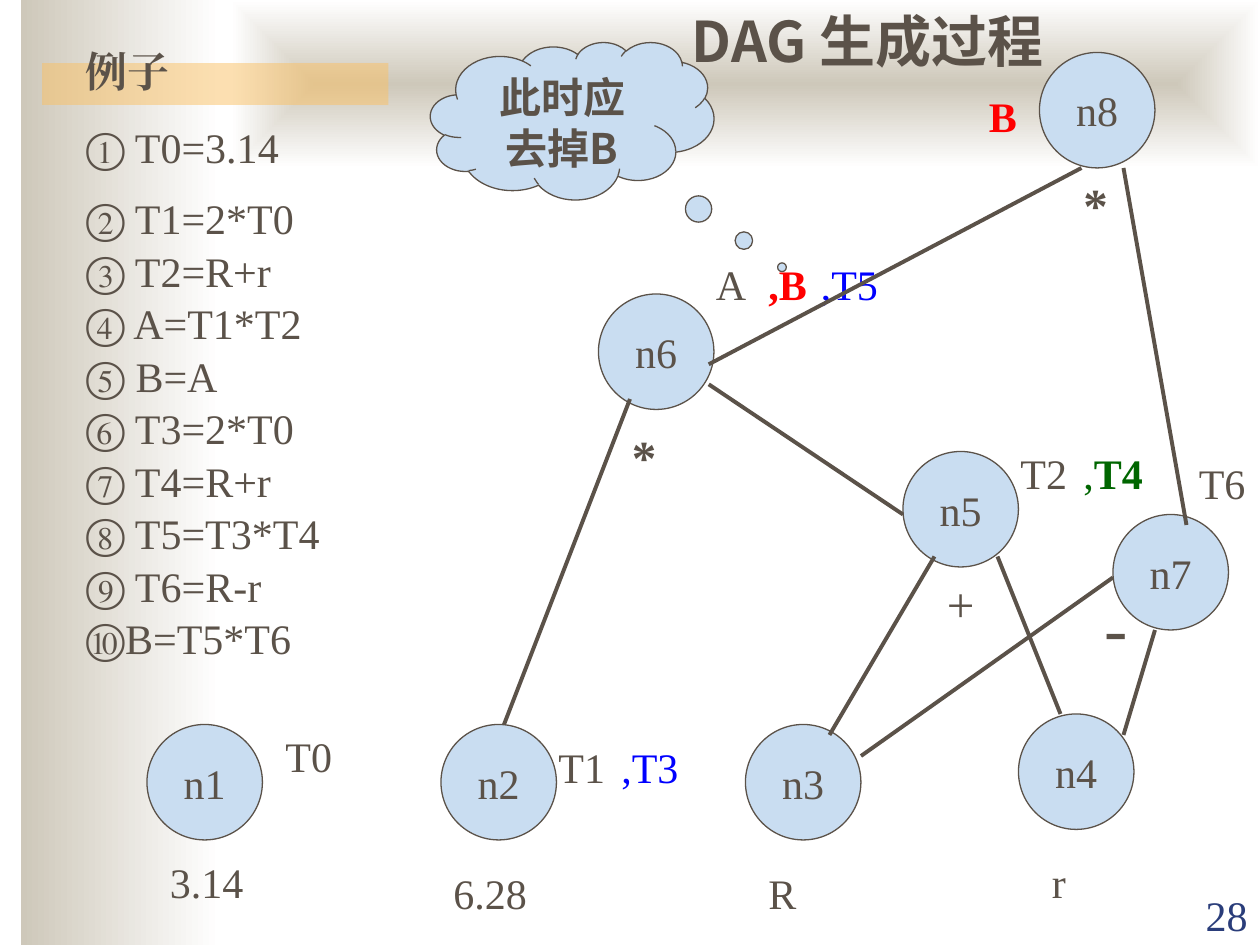
import pptx
import pptx.util
import pptx.dml.color
import pptx.enum.shapes
import pptx.enum.text
import pptx.oxml
import pptx.oxml.ns

# Content; places are in grid cells, twelve to the inch
CELL = 1 / 12
SERIF, SANS = "Times New Roman", "Noto Sans CJK JP"
INK, SKY, SAND, WHITE = "5B5249", "C9DDF1", "CEC8BA", "FFFFFF"
RED, BLUE, GREEN, NAVY, ORANGE = "FF0000", "0000FF", "006600", "2A3D7A", "FAC164"

TITLE = "DAG 生成过程"
HEADING = "例子"
CALLOUT = "此时应去掉B"
PAGE_NUMBER = "28"

# Instruction and the width of its box
FIRST_INSTRUCTION = "① T0=3.14"
INSTRUCTIONS = [
    ("② T1=2*T0", 23), ("③ T2=R+r", 23), ("④ A=T1*T2", 25),
    ("⑤ B=A", 23), ("⑥ T3=2*T0", 23), ("⑦ T4=R+r", 34),
    ("⑧ T5=T3*T4", 25), ("⑨ T6=R-r", 22), ("⑩B=T5*T6", 22),
]

NODE_SIZE = 11
NODES = {
    "n1": (14, 69), "n2": (42, 69), "n3": (71, 69), "n4": (97, 68),
    "n5": (86, 43), "n6": (57, 28), "n7": (106, 49), "n8": (99, 5),
}

EDGES = [
    ((89, 53), (79, 70)), ((95, 53), (101, 68)),        # n5 to n3, n4
    ((60, 38), (48, 69)), ((67.5, 36.6), (86, 49)),     # n6 to n2, n5
    ((106, 55), (82, 72)), ((110, 60), (107, 70)),      # n7 to n3, n4
    ((103, 16), (67.5, 34.7)), ((107, 16), (113, 50)),  # n8 to n6, n7
]

# Left, top, width, then runs of (text, size, colour, bold)
LABELS = [
    (15, 81, 10, [("3.14", 24, INK, False)]),
    (26, 69, 10, [("T0", 24, INK, False)]),
    (42, 82, 11, [("6.28", 24, INK, False)]),
    (52, 70, 9, [("T1", 24, INK, False)]),
    (58, 70, 11, [(",T3", 24, BLUE, False)]),
    (72, 82, 11, [("R", 24, INK, False)]),
    (99, 81, 10, [("r", 24, INK, False)]),
    (89, 54, 8, [("+", 28, INK, False)]),
    (96, 42, 8, [("T2", 24, INK, False)]),
    (102, 42, 10, [(",", 24, GREEN, False), ("T4", 24, GREEN, True)]),
    (59, 40, 10, [("*", 28, INK, True)]),
    (67, 24, 7, [("A", 24, INK, False)]),
    (72, 24, 10, [(",B", 24, RED, True)]),
    (77, 24, 11, [(",T5", 24, BLUE, False)]),
    (104, 55, 6, [("-", 40, INK, False)]),
    (113, 43, 7, [("T6", 24, INK, False)]),
    (102, 16, 5, [("*", 28, INK, True)]),
    (93, 8, 9, [("B", 24, RED, True)]),
]

SHAPE = pptx.enum.shapes.MSO_SHAPE
ALIGN = pptx.enum.text.PP_ALIGN
ANCHOR = pptx.enum.text.MSO_ANCHOR


def cells(*counts):
    return [pptx.util.Inches(count * CELL) for count in counts]


def colour(code):
    return pptx.dml.color.RGBColor.from_string(code)


def element(tag, **attributes):
    node = pptx.oxml.parse_xml(f"<{tag} {pptx.oxml.ns.nsdecls('a')}/>")
    for key, value in attributes.items():
        node.set(key, str(value))
    return node


def add_run(para, text, size=24, code=INK, bold=False, face=SERIF):
    span = para.add_run()
    span.text = text
    span.font.size = pptx.util.Pt(size)
    span.font.bold = bold
    span.font.color.rgb = colour(code)
    span.font.name = face
    span.font._element.find(pptx.oxml.ns.qn("a:latin")).addnext(
        element("a:ea", typeface=face))


def add_text(left, top, width, height, runs, align=ALIGN.LEFT):
    box = page.shapes.add_textbox(*cells(left, top, width, height))
    box.text_frame.word_wrap = True
    para = box.text_frame.paragraphs[0]
    para.alignment = align
    for run in runs:
        add_run(para, *run)
    return box


def add_shape(kind, left, top, width, height, fill=None, line=None):
    shape = page.shapes.add_shape(kind, *cells(left, top, width, height))
    shape.shadow.inherit = False
    if fill:
        shape.fill.solid()
        shape.fill.fore_color.rgb = colour(fill)
    if line:
        shape.line.color.rgb = colour(line)
        shape.line.width = pptx.util.Pt(0.75)
    else:
        shape.line.fill.background()
    return shape


def add_gradient(left, top, width, height):
    band = add_shape(SHAPE.RECTANGLE, left, top, width, height)
    band.fill.gradient()
    band.fill.gradient_angle = 0
    for stop, code, position in zip(band.fill.gradient_stops, (SAND, WHITE), (0, 1)):
        stop.color.rgb = colour(code)
        stop.position = position
    return band


deck = pptx.Presentation()
deck.slide_width, deck.slide_height = cells(120, 90)
page = deck.slides.add_slide(deck.slide_layouts[5])

# Background bands: left fade, top glow from its centre, heading bar
add_gradient(2, 0, 19, 90)
glow = add_gradient(22, 0, 98, 16)
linear = glow._element.find(".//" + pptx.oxml.ns.qn("a:lin"))
centre = element("a:path", path="rect")
centre.append(element("a:fillToRect", l=50000, t=50000, r=50000, b=50000))
linear.getparent().replace(linear, centre)

bar = add_shape(SHAPE.RECTANGLE, 4, 6, 33, 4, ORANGE)
bar._element.find(".//" + pptx.oxml.ns.qn("a:srgbClr")).append(
    element("a:alpha", val=50000))

# Page number
number = add_text(108, 84.1, 12, 6, [(PAGE_NUMBER, 24, NAVY)], ALIGN.RIGHT)
number.text_frame.vertical_anchor = ANCHOR.BOTTOM

# Graph nodes
for name, (left, top) in NODES.items():
    circle = add_shape(SHAPE.OVAL, left, top, NODE_SIZE, NODE_SIZE, SKY, INK)
    circle.text_frame.word_wrap = False
    circle.text_frame.vertical_anchor = ANCHOR.MIDDLE
    circle.text_frame.paragraphs[0].alignment = ALIGN.CENTER
    add_run(circle.text_frame.paragraphs[0], name)

# Labels, then edges on top of them
for left, top, width, runs in LABELS:
    add_text(left, top, width, runs[0][1] / 4, runs)

for start, end in EDGES:
    edge = page.shapes.add_connector(
        pptx.enum.shapes.MSO_CONNECTOR.STRAIGHT, *cells(*start, *end))
    edge.line.color.rgb = colour(INK)
    edge.line.width = pptx.util.Pt(2.25)
    edge._element.spPr.append(element("a:effectLst"))

# Title, brought in front of the bands
title = page.shapes.title
title.left, title.top, title.width, title.height = cells(64.7, 0, 38.4, 7.7)
title.text_frame.word_wrap = True
title.text_frame.vertical_anchor = ANCHOR.TOP
title.text_frame.paragraphs[0].alignment = ALIGN.LEFT
add_run(title.text_frame.paragraphs[0], TITLE, 32, bold=True, face=SANS)
page.shapes._spTree.append(title._element)

# Heading and instruction list
heading = add_text(7, 3.7, 23, 13.3, [(HEADING, 24, INK, True)])
first = heading.text_frame.add_paragraph()
first.space_before = pptx.util.Pt(15)
add_run(first, FIRST_INSTRUCTION)
for row, (text, width) in enumerate(INSTRUCTIONS):
    add_text(7, 17.75 + 5 * row, width, 6, [(text,)])

# Thought cloud
cloud = add_shape(SHAPE.CLOUD_CALLOUT, 41, 4, 27, 15, SKY, INK)
cloud.adjustments[0], cloud.adjustments[1] = 0.74, 0.93
cloud.text_frame.word_wrap = True
cloud.text_frame.vertical_anchor = ANCHOR.TOP
cloud.text_frame.paragraphs[0].alignment = ALIGN.CENTER
add_run(cloud.text_frame.paragraphs[0], CALLOUT, bold=True, face=SANS)

deck.save("out.pptx")
